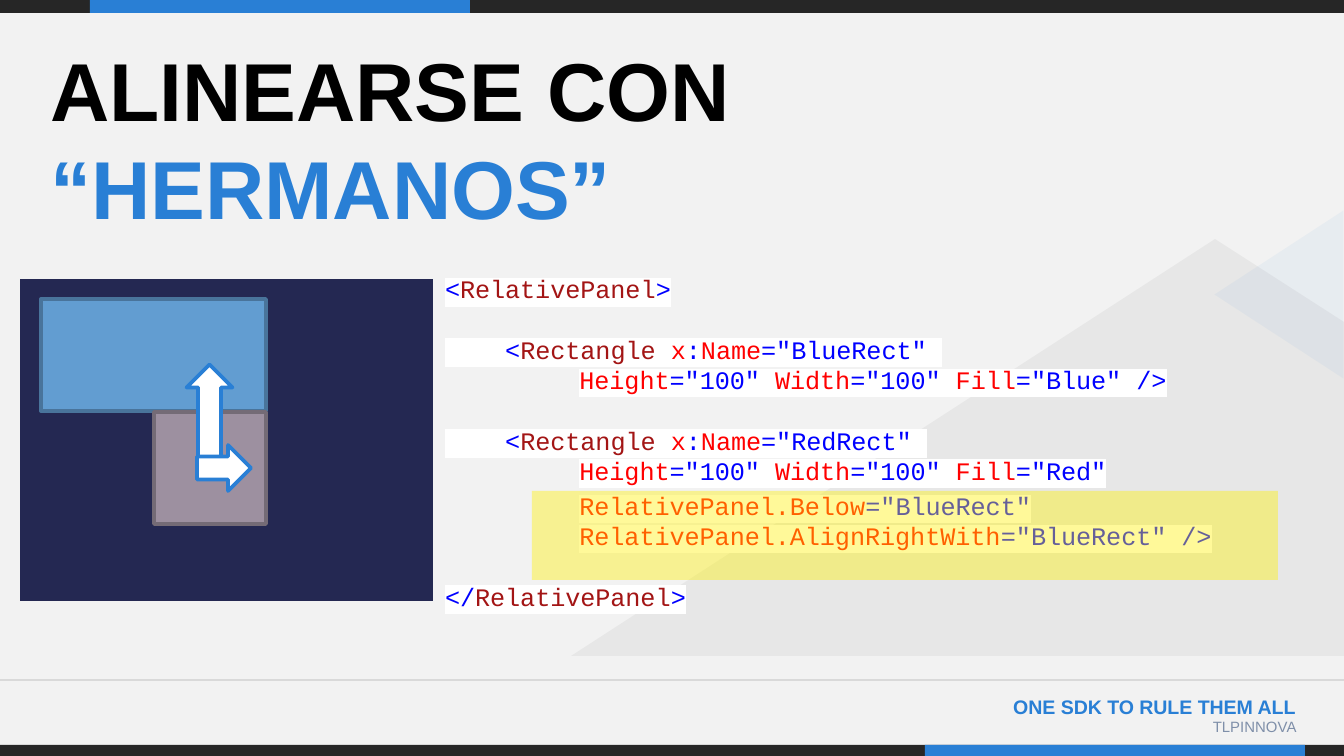
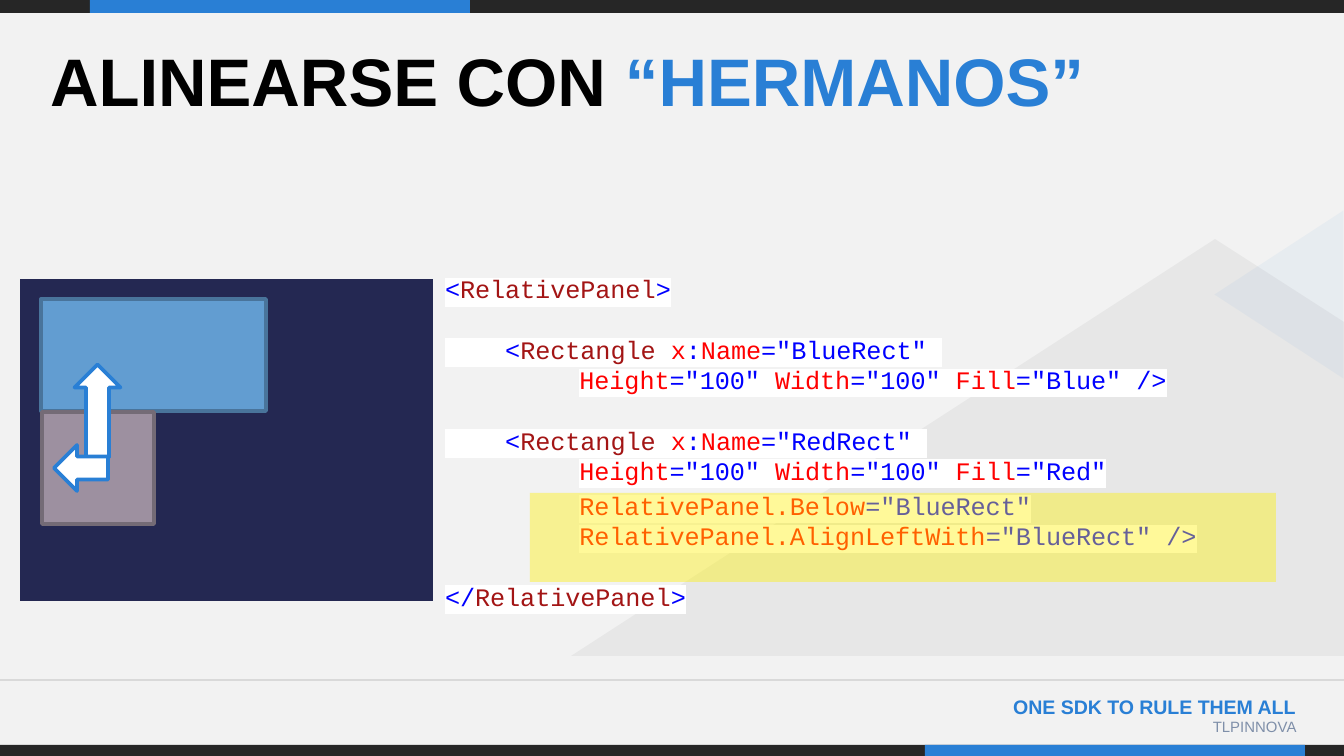
from copy import deepcopy
from dataclasses import dataclass

from lxml import etree
from pptx import Presentation
from pptx import util as u
from pptx.dml.color import RGBColor
from pptx.enum import shapes, text
from pptx.oxml import ns

EMU_PER_PX = 914400 / 134.4
W, H = 1344, 756


@dataclass(frozen=True)
class Theme:
    # colours
    back: str = "F2F2F2"
    dark: str = "262626"
    accent: str = "297FD5"
    muted: str = "7F8FA9"
    rule: str = "D9D9D9"
    black: str = "000000"
    white: str = "FFFFFF"
    panel: str = "242852"
    blue_box: str = "629DD1"
    blue_edge: str = "49749B"
    red_box: str = "9D90A0"
    red_edge: str = "746B76"
    marker: str = "FFF100"
    # code colours
    mark: str = "0000FF"
    tag: str = "A31515"
    attr: str = "FF0000"
    # fonts, sizes and spacing
    font: str = "Arial"
    mono: str = "Courier New"
    code_size: float = 13.5
    slogan_size: float = 10.5
    team_size: float = 8
    code_gap: float = 16.2


T = Theme()


def px(n):
    return u.Emu(round(n * EMU_PER_PX))


def sub(parent, tag, **attrs):
    return etree.SubElement(parent, ns.qn(tag), attrs)


# ---- shapes ----
def paint(sp, fill, alpha=None, line=None):
    sp.shadow.inherit = False
    sp.fill.solid()
    sp.fill.fore_color.rgb = RGBColor.from_string(fill)
    if alpha:
        clr = sp.fill._xPr.find(".//" + ns.qn("a:srgbClr"))
        sub(clr, "a:alpha", val=str(alpha * 1000))
    if line:
        sp.line.color.rgb = RGBColor.from_string(line)
        sp.line.width = u.Pt(2)
    else:
        sp.line.fill.background()
    return sp


def shape(s, box, fill, kind=shapes.MSO_SHAPE.RECTANGLE, rot=0, **look):
    sp = s.shapes.add_shape(kind, *map(px, box))
    sp.rotation = rot
    return paint(sp, fill, **look)


def arrow(s, box, rot):
    return shape(s, box, T.white, shapes.MSO_SHAPE.LEFT_ARROW, rot, line=T.accent)


def polygon(s, points, fill, alpha):
    fb = s.shapes.build_freeform(*points[0], scale=EMU_PER_PX)
    fb.add_line_segments(points[1:], close=True)
    return paint(fb.convert_to_shape(), fill, alpha)


def rule(s, y):
    c = s.shapes.add_connector(shapes.MSO_CONNECTOR.STRAIGHT, 0, px(y), px(W), px(y))
    c.line.color.rgb = RGBColor.from_string(T.rule)
    c.line.width = u.Pt(0.75)
    sub(c._element.spPr, "a:effectLst")
    return c


# ---- text ----
def add_run(p, words, color, size, font, bold, highlight):
    r = p.add_run()
    r.text = words
    r.font.size = u.Pt(size)
    r.font.bold = bold
    r.font.color.rgb = RGBColor.from_string(color)
    r.font.name = font
    rpr = r._r.get_or_add_rPr()
    if highlight:
        hl = etree.Element(ns.qn("a:highlight"))
        sub(hl, "a:srgbClr", val=highlight)
        rpr.find(ns.qn("a:solidFill")).addnext(hl)
    return rpr


def write(tf, runs, size, font=T.font, bold=False, align=text.PP_ALIGN.LEFT,
          first=True, before=0, highlight=None):
    """Write one paragraph of (words, colour) runs; a newline breaks the line."""
    p = tf.paragraphs[0] if first else tf.add_paragraph()
    ppr = p._p.get_or_add_pPr()
    ppr.set("marL", "0")
    ppr.set("indent", "0")
    ppr.set("defTabSz", str(u.Inches(1)))
    sub(ppr, "a:buNone")
    p.alignment = align
    p.line_spacing = 1.0
    p.space_before = u.Pt(before)
    for words, color in runs:
        for i, part in enumerate(words.split("\n")):
            if i:
                p.add_line_break()
                p._p.findall(ns.qn("a:br"))[-1].append(deepcopy(rpr))
            rpr = add_run(p, part, color, size, font, bold, highlight)


def label(s, box, words, size, color, bold=False):
    tb = s.shapes.add_textbox(*map(px, box))
    tb.text_frame.word_wrap = True
    write(tb.text_frame, [(words, color)], size, bold=bold,
          align=text.PP_ALIGN.RIGHT)
    return tb


def place(ph, box, anchor):
    ph.left, ph.top, ph.width, ph.height = map(px, box)
    tf = ph.text_frame
    tf.word_wrap = True
    tf.auto_size = text.MSO_AUTO_SIZE.NONE
    tf.vertical_anchor = anchor
    tf.margin_left = tf.margin_right = px(20)
    tf.margin_top = tf.margin_bottom = px(16)
    return tf


# ---- shared frame: bands, footer and background triangles ----
def decorate(layout, s):
    frame = [
        shape(s, (0, 0, W, 13), T.dark),
        shape(s, (90, 0, 380, 13), T.accent),
        label(s, (907, 688, 402, 54), "ONE SDK TO RULE THEM ALL",
              T.slogan_size, T.accent, bold=True),
        label(s, (1067, 711, 243, 42), "TLPINNOVA", T.team_size, T.muted),
        shape(s, (0, 745, W, 11), T.dark),
        shape(s, (925, 745, 380, 11), T.accent),
        rule(s, 680),
        polygon(s, [(W, 656), (W, 322), (1215, 239), (571, 656)], T.dark, 5),
        shape(s, (1195, 230, 168, 129), T.accent,
              shapes.MSO_SHAPE.ISOSCELES_TRIANGLE, 270, alpha=5),
    ]
    for sp in frame:
        layout.shapes._spTree.append(sp._element)


# ---- XAML listing ----
def attribute(name, value, lead=""):
    return [(lead + name, T.attr), (f'="{value}"', T.mark)]


def rectangle(name, fill):
    return [("    ", T.black), ("<", T.mark), ("Rectangle", T.tag),
            (" x", T.attr), (":", T.mark), ("Name", T.attr),
            (f'="{name}" \n\t', T.mark),
            *attribute("Height", 100), *attribute("Width", 100, " "),
            *attribute("Fill", fill, " ")]


def listing(tf, side):
    panel, close = ("RelativePanel", T.tag), (">", T.mark)
    lines = [
        (0, [("<", T.mark), panel, close]),
        (T.code_gap, rectangle("BlueRect", "Blue") + [(" ", T.black), ("/>", T.mark)]),
        (T.code_gap, rectangle("RedRect", "Red")),
        (0.2 * T.code_size,
         attribute("RelativePanel.Below", "BlueRect", "\t") + [("\n\t", T.mark)]
         + attribute(f"RelativePanel.Align{side}With", "BlueRect") + [(" />", T.mark)]),
        (T.code_gap, [("</", T.mark), panel, close]),
    ]
    for i, (before, runs) in enumerate(lines):
        write(tf, runs, T.code_size, T.mono, first=i == 0, before=before,
              highlight=T.white)


# ---- diagram of the two aligned rectangles ----
def diagram(s, red_x, side_x, side_rot):
    shape(s, (20, 279, 413, 322), T.panel)
    shape(s, (41, 299, 225, 112), T.blue_box, line=T.blue_edge)
    shape(s, (red_x, 412, 112, 112), T.red_box, line=T.red_edge)
    arrow(s, (red_x + 9, 388, 93, 46), 90)
    arrow(s, (side_x, 445, 54, 46), side_rot)


def sibling_slide(s, side, title_size, body_w, red_x, side_x, side_rot, marker):
    tf = place(s.shapes.title, (30, 23, 1285, 109), text.MSO_ANCHOR.TOP)
    write(tf, [("ALINEARSE CON ", T.black), ("“HERMANOS”", T.accent)],
          title_size, bold=True)
    tf = place(s.placeholders[1], (425, 130, body_w, 625), text.MSO_ANCHOR.MIDDLE)
    listing(tf, side)
    diagram(s, red_x, side_x, side_rot)
    shape(s, (*marker, 746, 89), T.marker, alpha=40)


def main():
    prs = Presentation()
    prs.slide_width, prs.slide_height = px(W), px(H)
    fill = prs.slide_master.background.fill
    fill.solid()
    fill.fore_color.rgb = RGBColor.from_string(T.back)
    layout = prs.slide_layouts[1]
    right, left = (prs.slides.add_slide(layout) for _ in range(2))
    decorate(layout, right)
    sibling_slide(right, "Right", title_size=44, body_w=919, red_x=154,
                  side_x=197, side_rot=180, marker=(532, 491))
    sibling_slide(left, "Left", title_size=36, body_w=814, red_x=42,
                  side_x=54, side_rot=0, marker=(530, 493))
    prs.save("out.pptx")


if __name__ == "__main__":
    main()
